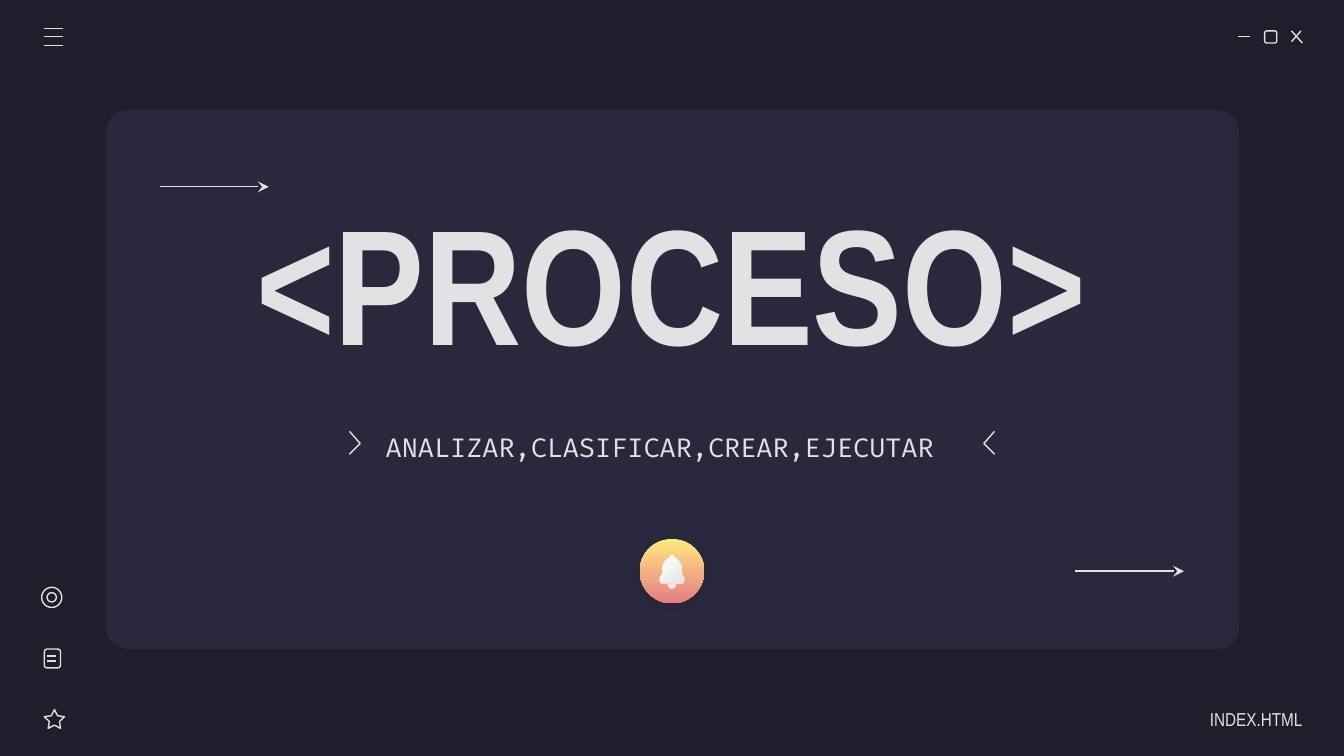
from lxml.etree import SubElement
from pptx import Presentation
from pptx.dml.color import RGBColor
from pptx.enum.shapes import MSO_CONNECTOR, MSO_SHAPE
from pptx.enum.text import MSO_ANCHOR, MSO_AUTO_SIZE, PP_ALIGN
from pptx.oxml.ns import qn
from pptx.util import Inches, Pt

LIGHT, DARK, PANEL = "E2E2E2", "1E1E2C", "29283D"


def paint(hue):
    return RGBColor.from_string(hue)


def write(shape, text, size, font="Arial Narrow", bold=False,
          align=PP_ALIGN.CENTER, right=0.1, top=0.1):
    frame = shape.text_frame
    frame.word_wrap = True
    frame.auto_size = MSO_AUTO_SIZE.NONE
    frame.vertical_anchor = MSO_ANCHOR.MIDDLE
    frame.margin_left = frame.margin_bottom = Inches(0.1)
    frame.margin_right, frame.margin_top = Inches(right), Inches(top)
    para = frame.paragraphs[0]
    para.alignment = align
    para.space_before = Pt(0)
    run = para.add_run()
    run.text = text
    run.font.name = font
    run.font.size = Pt(size)
    run.font.bold = bold
    run.font.color.rgb = paint(LIGHT)


def curve(start, *bends, steps=6):
    """Sample a chain of cubic Bezier bends as points."""
    points = [start]
    for a, b, end in bends:
        first = points[-1]
        for i in range(1, steps + 1):
            t = i / steps
            u = 1 - t
            points.append(tuple(
                u**3 * p + 3 * u * u * t * q + 3 * u * t * t * r + t**3 * s
                for p, q, r, s in zip(first, a, b, end)))
    return points


class Page:
    def __init__(self, slide):
        self.slide = slide
        self.shapes = slide.shapes
        slide.background.fill.solid()
        slide.background.fill.fore_color.rgb = paint(DARK)

    def style(self, shape, fill=None, grad=None, angle=0):
        """Fill without a line, or draw a thin line without a fill."""
        shape.shadow.inherit = False
        if grad:
            shape.fill.gradient()
            shape.fill.gradient_angle = 360 - angle
            for stop, hue in zip(shape.fill.gradient_stops, grad):
                stop.color.rgb = paint(hue)
        elif fill:
            shape.fill.solid()
            shape.fill.fore_color.rgb = paint(fill)
        else:
            shape.fill.background()
        if fill or grad:
            shape.line.fill.background()
        else:
            shape.line.color.rgb = paint(LIGHT)
            shape.line.width = Pt(0.75)
        return shape

    def shape(self, kind, x, y, w, h, adj=None, **look):
        item = self.shapes.add_shape(kind, Inches(x), Inches(y), Inches(w), Inches(h))
        if adj is not None:
            item.adjustments[0] = adj
        return self.style(item, **look)

    def line(self, x1, y1, x2, y2, arrow=False):
        item = self.shapes.add_connector(
            MSO_CONNECTOR.STRAIGHT, Inches(x1), Inches(y1), Inches(x2), Inches(y2))
        item.line.color.rgb = paint(LIGHT)
        item.line.width = Pt(0.75)
        props = item._element.spPr
        if arrow:
            SubElement(props.find(qn("a:ln")), qn("a:tailEnd"), type="stealth")
        SubElement(props, qn("a:effectLst"))

    def outline(self, *paths, close=True, **look):
        build = None
        for path in paths:
            first, *rest = [(Inches(x), Inches(y)) for x, y in path]
            if build is None:
                build = self.shapes.build_freeform(*first, scale=1.0)
            else:
                build.move_to(*first)
            build.add_line_segments(rest, close=close)
        return self.style(build.convert_to_shape(), **look)

    def holder(self, item, x, y, w, h, text, size, **form):
        """Place a template placeholder in front of the panel."""
        item.left, item.top, item.width, item.height = map(Inches, (x, y, w, h))
        self.shapes._spTree.append(item._element)
        write(item, text, size, **form)

    def label(self, x, y, w, h, text, size, **form):
        box = self.shapes.add_textbox(Inches(x), Inches(y), Inches(w), Inches(h))
        write(box, text, size, **form)

    def glow(self, shape):
        """Give a shape a soft shadow straight below it."""
        effects = shape._element.spPr.find(qn("a:effectLst"))
        shadow = SubElement(effects, qn("a:outerShdw"), blurRad=str(Pt(4.5)),
                            dist=str(Pt(1.5)), dir="5400000", algn="bl", rotWithShape="0")
        hue = SubElement(shadow, qn("a:srgbClr"), val=DARK)
        SubElement(hue, qn("a:alpha"), val="30000")


def window(page):
    """Draw the menu and the window buttons."""
    for y in (0.21, 0.27, 0.34):
        page.line(0.33, y, 0.47, y)
    page.line(9.21, 0.27, 9.3, 0.27)
    page.shape(MSO_SHAPE.ROUNDED_RECTANGLE, 9.41, 0.23, 0.09, 0.09)
    page.line(9.61, 0.23, 9.69, 0.32)
    page.line(9.68, 0.23, 9.61, 0.31)


def tools(page):
    """Draw the three icons at the left."""
    page.shape(MSO_SHAPE.STAR_5_POINT, 0.33, 5.28, 0.15, 0.14, adj=0.25)
    page.shape(MSO_SHAPE.ROUNDED_RECTANGLE, 0.33, 4.83, 0.12, 0.14)
    for y in (4.88, 4.92):
        page.line(0.35, y, 0.42, y)
    for inset in (0, 0.04):
        side = 0.15 - 2 * inset
        page.shape(MSO_SHAPE.OVAL, 0.31 + inset, 4.37 + inset, side, side)


def bell(page):
    disk = page.shape(MSO_SHAPE.OVAL, 4.76, 4.01, 0.48, 0.48,
                      grad=("FFEA7D", "E57C85"), angle=90)
    page.glow(disk)
    half = (curve((5, 4.13), ((4.99, 4.13), (4.98, 4.14), (4.98, 4.15)))
            + curve((4.98, 4.15), ((4.96, 4.16), (4.93, 4.19), (4.93, 4.22)))
            + curve((4.93, 4.27), ((4.92, 4.28), (4.91, 4.29), (4.91, 4.31)))
            + curve((4.91, 4.32), ((4.91, 4.33), (4.92, 4.34), (4.92, 4.34))))
    body = half + [(10 - x, y) for x, y in reversed(half)]
    clap = curve((4.97, 4.35), ((4.97, 4.36), (4.98, 4.38), (5, 4.38)),
                 ((5.02, 4.38), (5.03, 4.36), (5.03, 4.35)))
    page.outline(body, clap, grad=("FFFFFF", LIGHT), angle=45)


def main():
    deck = Presentation()
    deck.slide_width = Inches(10)
    deck.slide_height = deck.slide_width * 9 // 16
    page = Page(deck.slides.add_slide(deck.slide_layouts[0]))
    title, steps = page.slide.placeholders
    page.shape(MSO_SHAPE.ROUNDED_RECTANGLE, 0.79, 0.82, 8.43, 4.01, adj=0.04, fill=PANEL)
    window(page)
    tools(page)
    page.label(8.52, 5.2, 1.17, 0.3, "INDEX.HTML", 10, align=PP_ALIGN.RIGHT, right=0)
    page.holder(title, 0.62, 1.37, 8.75, 1.42, "<PROCESO>", 88, bold=True)
    page.holder(steps, 2.59, 2.84, 4.64, 0.97,
                "ANALIZAR,CLASIFICAR,CREAR,EJECUTAR", 14, font="Fira Code")
    bell(page)
    for back, tip in ((2.6, 2.68), (7.4, 7.32)):
        page.outline([(back, 3.21), (tip, 3.3), (back, 3.38)], close=False)
    for x, y in ((1.19, 1.39), (8, 4.25)):
        page.line(x, y, x + 0.81, y, arrow=True)
    deck.save("out.pptx")


if __name__ == "__main__":
    main()
